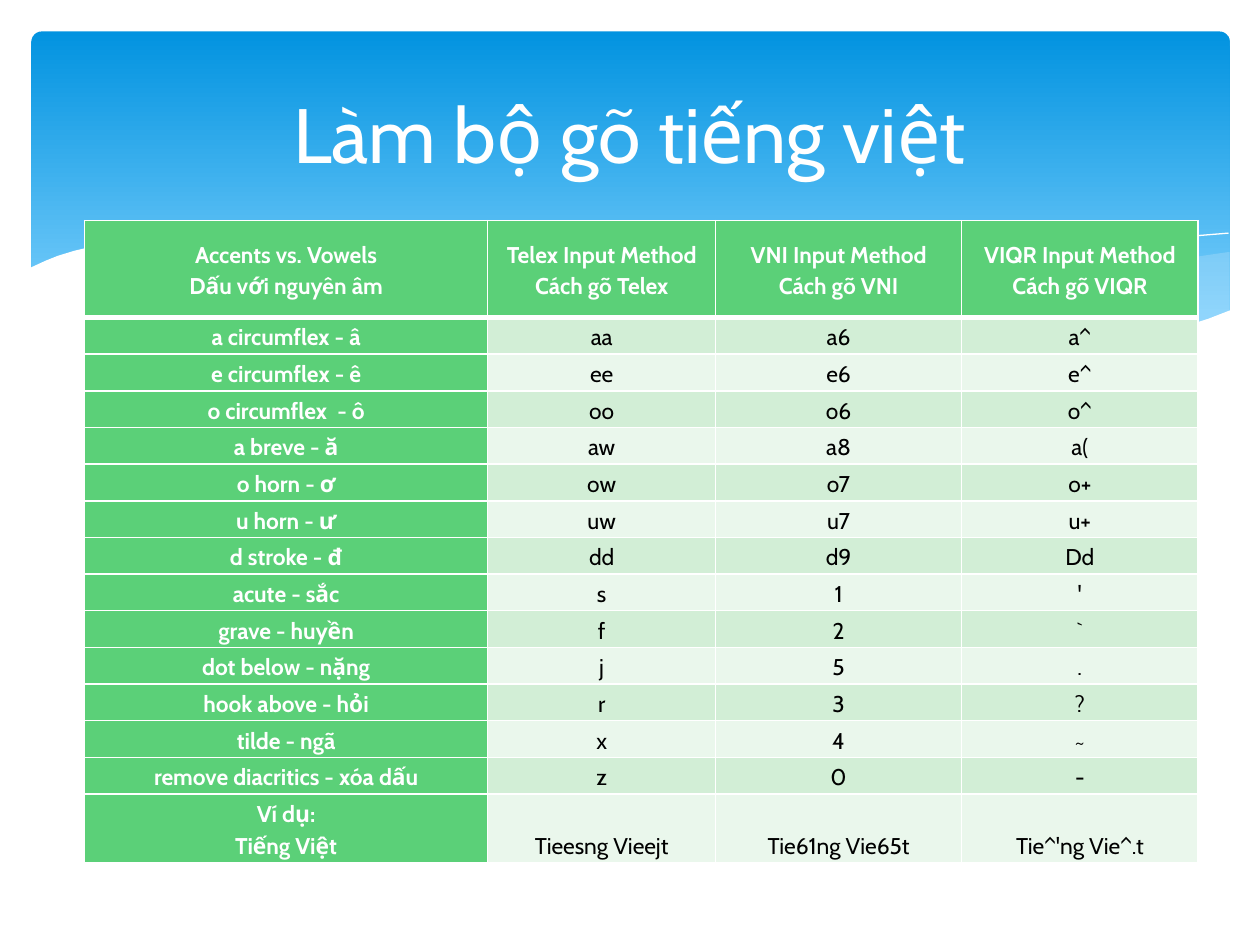
from copy import deepcopy

from lxml import etree
from pptx import Presentation
from pptx.dml.color import RGBColor
from pptx.enum.shapes import MSO_SHAPE
from pptx.enum.text import MSO_ANCHOR, PP_ALIGN
from pptx.oxml.ns import qn
from pptx.util import Inches, Pt

ROUNDED = MSO_SHAPE.ROUNDED_RECTANGLE
MIDDLE, BOTTOM = MSO_ANCHOR.MIDDLE, MSO_ANCHOR.BOTTOM
CENTER = PP_ALIGN.CENTER

WHITE = RGBColor(0xFF, 0xFF, 0xFF)
BLACK = RGBColor(0x00, 0x00, 0x00)
BLUE = RGBColor(0x02, 0x93, 0xE0)
SKY = RGBColor(0x83, 0xD3, 0xFE)
MIST = RGBColor(0xC6, 0xE7, 0xFC)
GREEN = RGBColor(0x5B, 0xD0, 0x78)
BANDS = (RGBColor(0xD2, 0xEE, 0xD6), RGBColor(0xEA, 0xF7, 0xEC))

GRID_COLUMNS = 1000
TITLE = {"size": Pt(44), "bold": False}
HEADING = {"size": Pt(13), "bold": True}
BODY = {"size": Pt(13), "bold": False}

RIGHT_WAVE = [
    (975, 200), (948, 204), (921, 210), (891, 216), (861, 223), (805, 237), (753, 248),
    (706, 257), (661, 265), (691, 269), (719, 272), (745, 275), (769, 277), (803, 278),
    (835, 277), (863, 275), (889, 272), (913, 267), (935, 262), (949, 257), (976, 247),
    (976, 200)]
MIDDLE_WAVE = [
    (893, 273), (866, 269), (837, 265), (807, 260), (775, 254), (741, 247), (706, 240),
    (668, 231), (629, 222), (598, 214), (569, 208), (541, 203), (514, 198), (489, 194),
    (465, 191), (442, 189), (420, 187), (399, 186), (361, 185), (328, 187), (299, 189),
    (286, 191), (323, 196), (362, 203), (404, 211), (449, 222), (491, 232), (530, 240),
    (566, 248), (601, 255), (634, 261), (665, 266), (695, 270), (722, 274), (748, 276),
    (773, 277), (807, 278), (838, 278), (867, 276)]
LONG_CREST = [
    (309, 195), (328, 192), (353, 189), (387, 187), (416, 187), (450, 188), (489, 190),
    (533, 194), (582, 200), (636, 208), (695, 219), (760, 233), (831, 251), (907, 272)]
SHORT_CREST = [
    (613, 257), (653, 246), (695, 235), (748, 223), (806, 210), (866, 199), (895, 194),
    (924, 190), (951, 187), (975, 185)]
WHITE_WAVE = [
    (977, 246), (959, 253), (940, 259), (920, 265), (899, 269), (875, 273), (850, 275),
    (823, 277), (793, 276), (761, 275), (726, 272), (688, 268), (648, 262), (603, 254),
    (555, 245), (503, 233), (447, 220), (391, 207), (340, 197), (292, 190), (250, 186),
    (211, 184), (177, 184), (146, 185), (119, 187), (95, 191), (76, 195), (59, 199),
    (46, 203), (36, 207), (23, 213), (23, 329), (977, 329)]

COLUMNS = (320, 181, 195, 188)
ROWS = [77] + [28] * 13 + [52]
INPUT_METHODS = [
    ("Accents vs. Vowels\nDấu với nguyên âm", "Telex Input Method\nCách gõ Telex",
     "VNI Input Method\nCách gõ VNI", "VIQR Input Method\nCách gõ VIQR"),
    ("a circumflex - â", "aa", "a6", "a^"),
    ("e circumflex - ê", "ee", "e6", "e^"),
    ("o circumflex  - ô", "oo", "o6", "o^"),
    ("a breve - ă", "aw", "a8", "a("),
    ("o horn - ơ", "ow", "o7", "o+"),
    ("u horn - ư", "uw", "u7", "u+"),
    ("d stroke - đ", "dd", "d9", "Dd"),
    ("acute - sắc", "s", "1", "'"),
    ("grave - huyền", "f", "2", "`"),
    ("dot below - nặng", "j", "5", "."),
    ("hook above - hỏi", "r", "3", "?"),
    ("tilde - ngã", "x", "4", "~"),
    ("remove diacritics - xóa dấu", "z", "0", "-"),
    ("Ví dụ:\nTiếng Việt", "Tieesng Vieejt", "Tie61ng Vie65t", "Tie^'ng Vie^.t")]


class Deck:
    """Draw styled elements on the current slide, measured in grid columns."""

    def __init__(self, prs, font):
        self.font = font
        self.unit = prs.slide_width / GRID_COLUMNS
        self.slide = prs.slides.add_slide(prs.slide_layouts[6])
        self.shapes = self.slide.shapes

    def grid(self, *values):
        return [round(value * self.unit) for value in values]

    def label(self, p, text, color, style, spacing=1.0):
        p.text, p.alignment, p.line_spacing = text, CENTER, spacing
        for r in p.runs:
            r.font.name = self.font
            r.font.color.rgb = color
            for name, value in style.items():
                setattr(r.font, name, value)
        for br in p._p.findall(qn("a:br")):
            br.append(deepcopy(p.runs[0]._r.rPr))

    def banner(self, box, radius, stops):
        sp = self.shapes.add_shape(ROUNDED, *self.grid(*box))
        sp.adjustments[0] = radius
        sp.shadow.inherit = False
        sp.line.fill.background()
        sp.fill.gradient()
        sp.fill.gradient_angle = 270
        for stop, (position, color) in zip(sp.fill.gradient_stops, stops):
            stop.position, stop.color.rgb = position, color

    def outline(self, points, closed):
        builder = self.shapes.build_freeform(*points[0], scale=self.unit)
        builder.add_line_segments(points[1:], close=closed)
        sp = builder.convert_to_shape()
        sp.shadow.inherit = False
        return sp

    def wave(self, points, color, opacity=100):
        sp = self.outline(points, True)
        sp.line.fill.background()
        sp.fill.solid()
        sp.fill.fore_color.rgb = color
        if opacity < 100:
            clr = sp._element.spPr.find(".//" + qn("a:srgbClr"))
            etree.SubElement(clr, qn("a:alpha"), val=str(opacity * 1000))

    def crest(self, points, color):
        sp = self.outline(points, False)
        sp.fill.background()
        sp.line.color.rgb = color
        sp.line.width = Pt(0)

    def title(self, text, box, color):
        tf = self.shapes.add_textbox(*self.grid(*box)).text_frame
        tf.word_wrap, tf.vertical_anchor = True, MIDDLE
        self.label(tf.paragraphs[0], text, color, TITLE)

    def border(self, cell, widths):
        for side, width in widths.items():
            ln = etree.SubElement(cell._tc.get_or_add_tcPr(), qn(f"a:ln{side}"), w=str(Pt(width)))
            fill = etree.SubElement(ln, qn("a:solidFill"))
            etree.SubElement(fill, qn("a:srgbClr"), val=str(WHITE))

    def cell(self, cell, text, color, style, fill, widths, anchor):
        self.border(cell, widths)
        cell.fill.solid()
        cell.fill.fore_color.rgb = fill
        cell.vertical_anchor = anchor
        for side in ("left", "right", "top", "bottom"):
            setattr(cell, f"margin_{side}", Inches(0.02))
        self.label(cell.text_frame.paragraphs[0], text, color, style, 1.15)

    def table(self, rows, left, top, columns, heights):
        box = self.grid(left, top, sum(columns), sum(heights))
        table = self.shapes.add_table(len(rows), len(columns), *box).table
        for column, width in zip(table.columns, self.grid(*columns)):
            column.width = width
        for row, height in zip(table.rows, self.grid(*heights)):
            row.height = height
        last = len(rows) - 1
        for i, row in enumerate(rows):
            widths = {"L": 1, "R": 1, "T": 3 if i == 1 else 1, "B": 3 if i == 0 else 1}
            for j, text in enumerate(row):
                heading = i == 0 or j == 0
                look = (WHITE, HEADING, GREEN) if heading else (BLACK, BODY, BANDS[(i - 1) % 2])
                anchor = BOTTOM if i == last and j else MIDDLE
                self.cell(table.cell(i, j), text, *look, widths, anchor)


def main():
    prs = Presentation()
    prs.slide_width, prs.slide_height = Inches(10), Inches(7.5)
    deck = Deck(prs, "Cabin")
    deck.banner((25, 25, 951, 270), 0.03, [(0, BLUE), (0.9, SKY)])
    deck.wave(RIGHT_WAVE, MIST, 29)
    deck.wave(MIDDLE_WAVE, MIST, 40)
    deck.crest(LONG_CREST, WHITE)
    deck.crest(SHORT_CREST, WHITE)
    deck.wave(WHITE_WAVE, WHITE)
    deck.table(INPUT_METHODS, 67, 175, COLUMNS, ROWS)
    deck.title("Làm bộ gõ tiếng việt", (50, 37, 900, 137), WHITE)
    prs.save("out.pptx")


if __name__ == "__main__":
    main()
